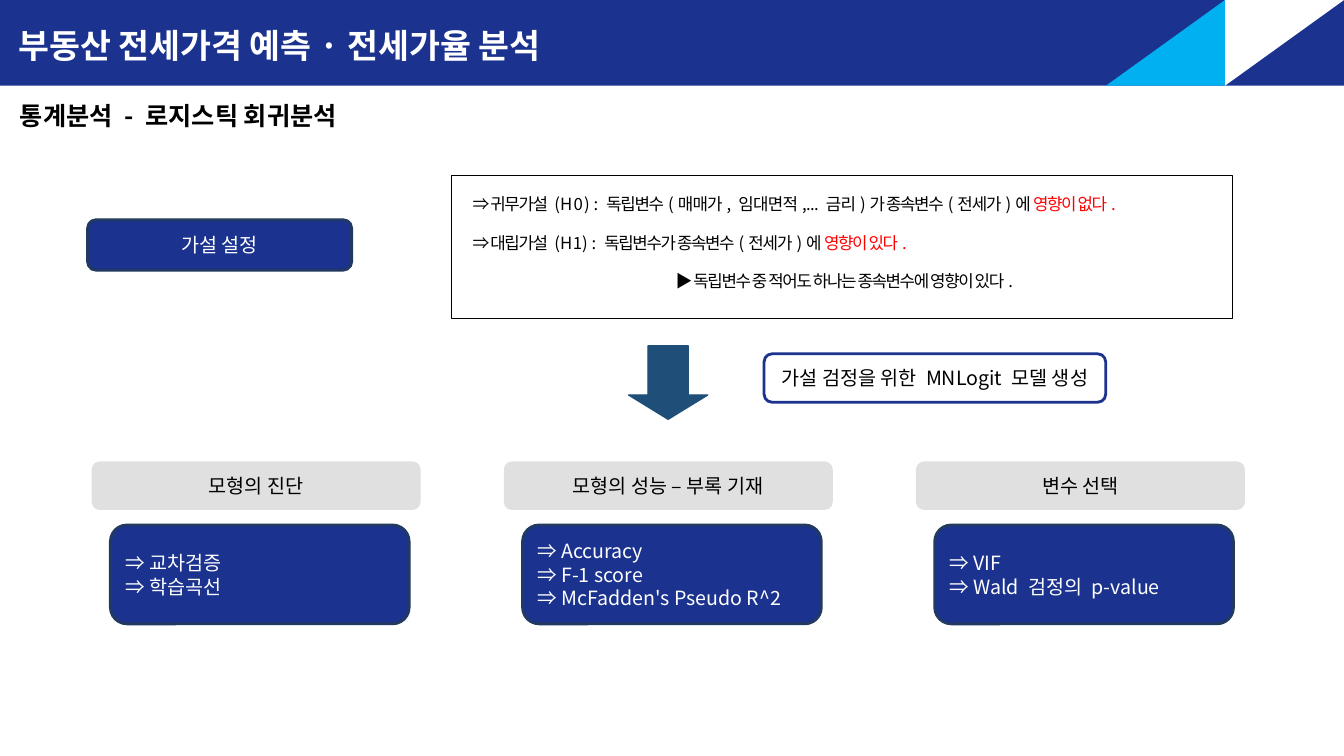
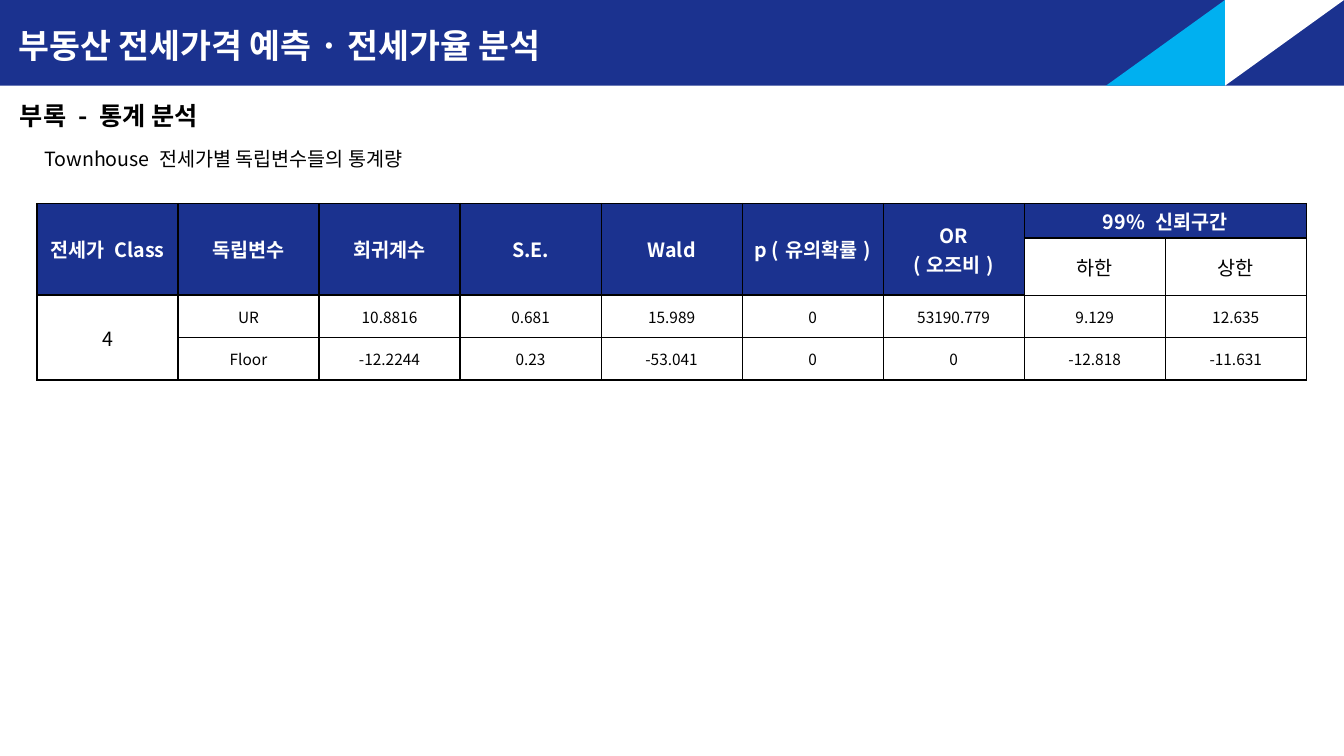
from lxml import etree
from pptx import Presentation
from pptx.dml.color import RGBColor
from pptx.enum.shapes import MSO_SHAPE
from pptx.enum.text import MSO_ANCHOR, PP_ALIGN
from pptx.oxml.ns import qn
from pptx.util import Pt

RECT = MSO_SHAPE.RECTANGLE
ROUNDED = MSO_SHAPE.ROUNDED_RECTANGLE
TRIANGLE = MSO_SHAPE.RIGHT_TRIANGLE
DOWN_ARROW = MSO_SHAPE.DOWN_ARROW
TOP, MIDDLE = MSO_ANCHOR.TOP, MSO_ANCHOR.MIDDLE
LEFT, CENTER = PP_ALIGN.LEFT, PP_ALIGN.CENTER

FONT = "Noto Sans CJK KR"
COLORS = {
    "navy": "1B328F",
    "outline": "223961",
    "cyan": "00B0F0",
    "steel": "1F4E79",
    "gray": "DFE0DF",
    "white": "FFFFFF",
    "black": "000000",
    "red": "FF0000",
}
SLIDE_WIDTH, SLIDE_HEIGHT = 960, 540
BAND_HEIGHT, TRIANGLE_WIDTH = 61.2, 85
TITLE = "부동산 전세가격 예측·전세가율 분석"


def rgb(name):
    return RGBColor.from_string(COLORS[name])


class Deck:
    def __init__(self):
        self.presentation = Presentation()
        self.presentation.slide_width = Pt(SLIDE_WIDTH)
        self.presentation.slide_height = Pt(SLIDE_HEIGHT)
        self.slide = None

    def new_slide(self, heading):
        layout = self.presentation.slide_layouts[6]
        self.slide = self.presentation.slides.add_slide(layout)
        band = self.shape(RECT, 0, 0, SLIDE_WIDTH, BAND_HEIGHT, "navy")
        self.set_text(band.text_frame, [TITLE], 24, "white", bold=True,
                      margins=(13, 6, 7.2, 3))
        self.corner(SLIDE_WIDTH - TRIANGLE_WIDTH, 90, "white")
        self.corner(SLIDE_WIDTH - 2 * TRIANGLE_WIDTH, 270, "cyan")
        self.label(7.2, 68.4, 291, 28.8, heading, 18, bold=True)

    def corner(self, left, rotation, color):
        shift = (TRIANGLE_WIDTH - BAND_HEIGHT) / 2
        triangle = self.shape(TRIANGLE, left + shift, -shift,
                              BAND_HEIGHT, TRIANGLE_WIDTH, color)
        triangle.rotation = rotation

    def shape(self, preset, left, top, width, height, fill=None, line=None, weight=2):
        shape = self.slide.shapes.add_shape(
            preset, Pt(left), Pt(top), Pt(width), Pt(height))
        shape.shadow.inherit = False
        if fill:
            shape.fill.solid()
            shape.fill.fore_color.rgb = rgb(fill)
        else:
            shape.fill.background()
        if line:
            shape.line.color.rgb = rgb(line)
            shape.line.width = Pt(weight)
        else:
            shape.line.fill.background()
        return shape

    def box(self, left, top, width, height, lines, fill="navy", line="outline",
            color="white", align=CENTER, spacing=None):
        box = self.shape(ROUNDED, left, top, width, height, fill, line)
        self.set_text(box.text_frame, lines, 14, color, align=align, spacing=spacing)

    def label(self, left, top, width, height, text, size, bold=False):
        label = self.slide.shapes.add_textbox(Pt(left), Pt(top), Pt(width), Pt(height))
        self.set_text(label.text_frame, [text], size, "black", bold=bold)

    def style(self, paragraph, size, color, bold=False):
        font = paragraph.font
        font.name = FONT
        font.size = Pt(size)
        font.bold = bold
        font.color.rgb = rgb(color)
        latin = font._element.find(qn("a:latin"))
        east_asian = etree.Element(qn("a:ea"), typeface=FONT)
        latin.addnext(east_asian)

    def set_text(self, frame, lines, size, color, bold=False, align=LEFT,
                 anchor=MIDDLE, spacing=None, margins=(7.2, 3.6, 7.2, 3.6)):
        frame.word_wrap = True
        frame.vertical_anchor = anchor
        (frame.margin_left, frame.margin_top,
         frame.margin_right, frame.margin_bottom) = map(Pt, margins)
        for index, line in enumerate(lines):
            paragraph = frame.add_paragraph() if index else frame.paragraphs[0]
            paragraph.alignment = align
            if spacing:
                paragraph.line_spacing = Pt(spacing)
            self.style(paragraph, size, color, bold)
            if isinstance(line, str):
                paragraph.add_run().text = line
            else:
                self.tracked_runs(paragraph, line)

    def tracked_runs(self, paragraph, pieces):
        for text, tracking, color in pieces:
            run = paragraph.add_run()
            run.text = text
            run.font.color.rgb = rgb(color)
            run._r.get_or_add_rPr().set("spc", str(round(tracking * 100)))

    def hypotheses(self, left, top, width, height, lines, indents):
        panel = self.shape(RECT, left, top, width, height, line="black", weight=1)
        frame = panel.text_frame
        self.set_text(frame, lines, 12, "black", anchor=TOP, spacing=14.5,
                      margins=(0, 13, 0, 0))
        for index, (paragraph, indent) in enumerate(zip(frame.paragraphs, indents)):
            properties = paragraph._p.get_or_add_pPr()
            properties.set("marL", str(Pt(indent)))
            properties.set("indent", "0")
            if index:
                paragraph.space_before = Pt(13.1)

    def table(self, left, top, column_width, heights, rows, merges, header_cells):
        columns = len(rows[0])
        table = self.slide.shapes.add_table(
            len(rows), columns, Pt(left), Pt(top),
            Pt(column_width * columns), Pt(sum(heights))).table
        table.first_row = table.horz_banding = False
        for column in table.columns:
            column.width = Pt(column_width)
        for row, height in zip(table.rows, heights):
            row.height = Pt(height)
        for first, last in merges:
            table.cell(*first).merge(table.cell(*last))
        for r, values in enumerate(rows):
            for c, value in enumerate(values):
                header = (r, c) in header_cells
                cell = table.cell(r, c)
                if value:
                    size = 11 if r > 1 and c else 14
                    self.set_text(cell.text_frame, value.split("\n"), size,
                                  "white" if header else "black", bold=header,
                                  align=CENTER)
                cell.vertical_anchor = MIDDLE
                cell.margin_left = cell.margin_right = Pt(3)
                cell.margin_top = cell.margin_bottom = 0
                self.borders(cell, 2 if header else 1)
                cell.fill.solid()
                cell.fill.fore_color.rgb = rgb("navy" if header else "white")

    def borders(self, cell, bottom):
        properties = cell._tc.get_or_add_tcPr()
        for side, weight in (("L", 1), ("R", 1), ("T", 1), ("B", bottom)):
            edge = etree.SubElement(properties, qn(f"a:ln{side}"), w=str(Pt(weight)))
            fill = etree.SubElement(edge, qn("a:solidFill"))
            etree.SubElement(fill, qn("a:srgbClr"), val=COLORS["black"])


def logistic_slide(deck):
    deck.new_slide("통계분석 - 로지스틱 회귀분석")
    deck.box(62.6, 157, 188.6, 36, ["가설 설정"])
    null_hypothesis = [
        ("⇒ 귀무가설 ", -1, "black"), ("(", 0, "black"), ("H0", 0.9, "black"),
        (") ", 0, "black"), (": ", 0.1, "black"), ("독립변수", -1, "black"),
        ("(매매가, 임대면적,... 금리)", -0.5, "black"), ("가 종속변수", -1, "black"),
        ("(전세가", -0.8, "black"), (")", -0.7, "black"), ("에 ", -1, "black"),
        ("영향이 없다.", -1, "red"),
    ]
    alternative = [
        ("⇒ 대립가설 ", -1, "black"), ("(", 0, "black"), ("H", 0.3, "black"),
        ("1", -0.5, "black"), (") ", 0, "black"), (": ", 0.1, "black"),
        ("독립변수가 종속변수", -1, "black"), ("(전세가", -0.8, "black"),
        (")", -0.7, "black"), ("에 ", -1, "black"), ("영향이 있다.", -1, "red"),
    ]
    meaning = [("▶ 독립변수 중 적어도 하나는 종속변수에 영향이 있다.", -1, "black")]
    deck.hypotheses(322.6, 125.3, 558, 102.2,
                    [null_hypothesis, alternative, meaning], (15, 15, 160))

    arrow = deck.shape(DOWN_ARROW, 449, 247, 56.5, 52.5, "steel", "steel", 1)
    arrow.adjustments[0] = 0.51
    arrow.adjustments[1] = 0.33
    deck.box(545.8, 252.7, 244, 34.6, ["가설 검정을 위한 MNLogit 모델 생성"],
             fill="white", line="navy", color="black")

    stages = [
        ("모형의 진단", ["⇒ 교차검증", "⇒ 학습곡선"]),
        ("모형의 성능 – 부록 기재",
         ["⇒ Accuracy", "⇒ F-1 score", "⇒ McFadden's Pseudo R^2"]),
        ("변수 선택", ["⇒ VIF", "⇒ Wald 검정의 p-value"]),
    ]
    for index, (stage, checks) in enumerate(stages):
        left = 65.5 + 294.4 * index
        deck.box(left, 329.6, 235, 34.6, [stage], fill="gray", line=None, color="black")
        deck.box(left + 13.4, 375, 213.4, 70.6, checks, align=LEFT, spacing=16.8)


def appendix_slide(deck):
    deck.new_slide("부록 - 통계 분석")
    rows = [
        ["전세가 Class", "독립변수", "회귀계수", "S.E.", "Wald", "p (유의확률)",
         "OR\n(오즈비)", "99% 신뢰구간", ""],
        [""] * 7 + ["하한", "상한"],
        ["4", "UR", "10.8816", "0.681", "15.989", "0", "53190.779", "9.129", "12.635"],
        ["", "Floor", "-12.2244", "0.23", "-53.041", "0", "0", "-12.818", "-11.631"],
    ]
    merges = [((0, c), (1, c)) for c in range(7)]
    merges += [((0, 7), (0, 8)), ((2, 0), (3, 0))]
    header_cells = {(0, c) for c in range(9)} | {(1, c) for c in range(7)}
    deck.table(26.4, 145.3, 100.75, (24.6, 41, 30.3, 30.3), rows, merges, header_cells)
    deck.label(24.5, 97, 319, 32, "Townhouse 전세가별 독립변수들의 통계량", 14)


def main():
    deck = Deck()
    logistic_slide(deck)
    appendix_slide(deck)
    deck.presentation.save("out.pptx")


if __name__ == "__main__":
    main()
